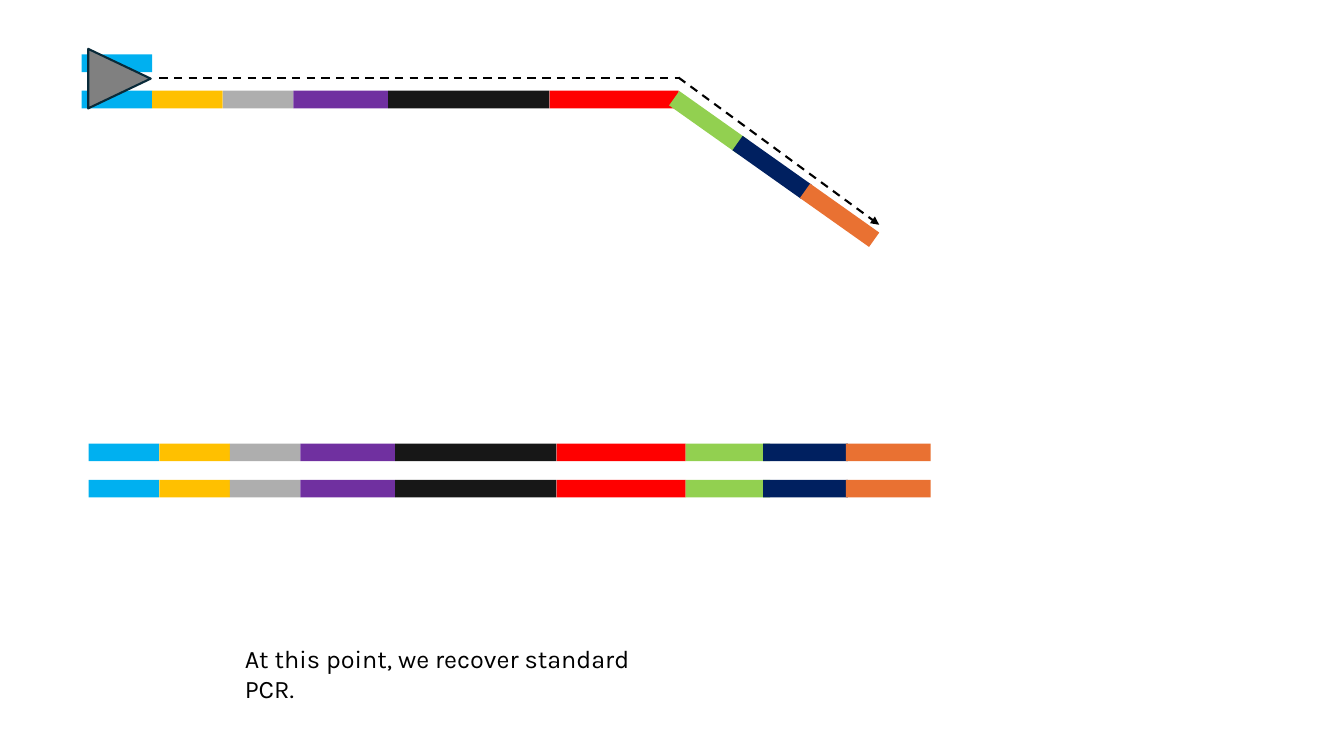
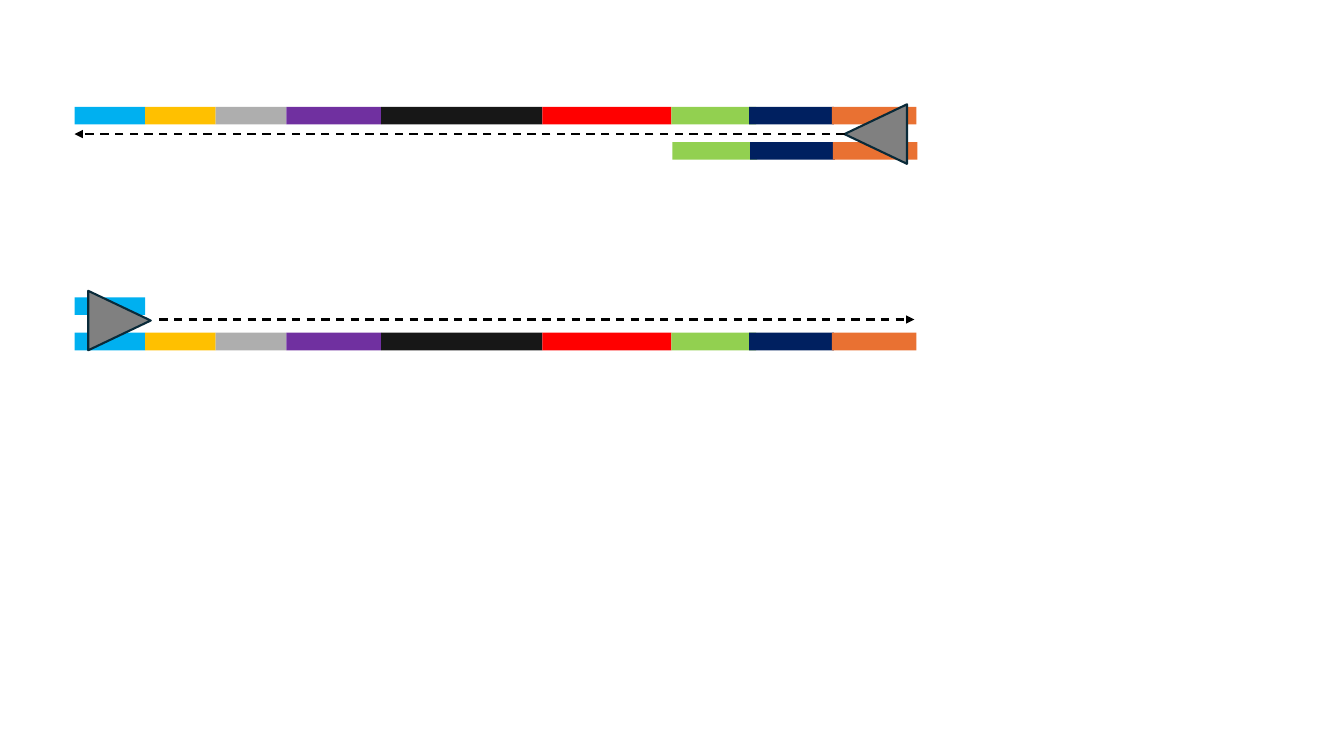
"""Builds two slides that show strand extension during PCR."""
from math import cos, radians, sin

from lxml import etree
from pptx import Presentation
from pptx.dml.color import RGBColor
from pptx.enum.dml import MSO_LINE
from pptx.enum.shapes import MSO_CONNECTOR, MSO_SHAPE
from pptx.oxml.ns import qn
from pptx.util import Inches, Pt

RECT = MSO_SHAPE.RECTANGLE
TRIANGLE = MSO_SHAPE.ISOSCELES_TRIANGLE
STRAIGHT = MSO_CONNECTOR.STRAIGHT
DASH = MSO_LINE.DASH

BLACK = "000000"
GRAY = "808080"
OUTLINE = "092A39"
FONT = "Karla"
LINE_WIDTH = Pt(1.5)
BAR_HEIGHT = 1.75

# Colour, distance to the next segment and drawn width
SEGMENTS = [
    ("00B0F0", 7, 7),
    ("FFC000", 7, 7),
    ("AEAEAE", 7, 7),
    ("7030A0", 9.4, 9.4),
    ("171717", 16, 16),
    ("FF0000", 12.8, 12.8),
    ("92D050", 7.7, 8.4),
    ("002060", 8.2, 8.4),
    ("E97132", 8.4, 8.4),
]
PRIMER = SEGMENTS[:1]
STEM = SEGMENTS[:6]
ARM = SEGMENTS[6:]


def rgb(value):
    return RGBColor.from_string(value)


def grid(cells):
    return Inches(cells / 10)


class Deck:
    def __init__(self):
        self.prs = Presentation()
        self.prs.slide_width = Inches(13.33)
        self.prs.slide_height = Inches(7.5)
        self.slide = None

    def new_slide(self):
        self.slide = self.prs.slides.add_slide(self.prs.slide_layouts[6])

    def shape(self, kind, x, y, w, h, fill, rotation=0, outline=None):
        sp = self.slide.shapes.add_shape(kind, *map(grid, (x, y, w, h)))
        sp.shadow.inherit = False
        sp.rotation = rotation
        sp.fill.solid()
        sp.fill.fore_color.rgb = rgb(fill)
        if outline:
            sp.line.color.rgb = rgb(outline)
            sp.line.width = LINE_WIDTH
        else:
            sp.line.fill.background()

    def strand(self, x, y, segments=SEGMENTS, angle=0):
        dx, dy = cos(radians(angle)), sin(radians(angle))
        for color, step, width in segments:
            self.shape(RECT, x, y, width, BAR_HEIGHT, color, angle)
            x, y = x + step * dx, y + step * dy

    def polymerase(self, x, y, rotation):
        self.shape(TRIANGLE, x, y, 5.9, 6.2, GRAY, rotation, OUTLINE)

    def extension(self, x1, y1, x2, y2, arrow=True):
        cn = self.slide.shapes.add_connector(
            STRAIGHT, *map(grid, (x1, y1, x2, y2)))
        cn.line.color.rgb = rgb(BLACK)
        cn.line.width = LINE_WIDTH
        cn.line.dash_style = DASH
        if arrow:
            ln = cn.line._get_or_add_ln()
            etree.SubElement(ln, qn("a:tailEnd"), type="triangle")
        etree.SubElement(cn._element.spPr, qn("a:effectLst"))

    def text(self, x, y, w, h, content):
        tf = self.slide.shapes.add_textbox(
            *map(grid, (x, y, w, h))).text_frame
        tf.word_wrap = True
        tf.text = content
        r = tf.paragraphs[0].runs[0]
        r.font.name = FONT
        r.font.size = Pt(18)
        r.font.color.rgb = rgb(BLACK)


def build_bent_template(deck):
    deck.new_slide()
    deck.strand(8.1, 5.4, PRIMER)
    deck.strand(8.1, 9, STEM)
    deck.strand(66.1, 11.3, ARM, 35.3)
    deck.polymerase(8.9, 4.7, 90)
    deck.extension(15.8, 7.7, 67.3, 7.7, arrow=False)
    deck.extension(67.3, 7.7, 87.2, 22.3)
    for y in (44, 47.6):
        deck.strand(8.8, y)
    deck.text(23.3, 63.3, 44, 4,
              "At this point, we recover standard PCR.")


def build_standard_pcr(deck):
    deck.new_slide()
    deck.strand(7.4, 10.6)
    deck.strand(66.7, 14.1, ARM)
    deck.strand(7.4, 29.5, PRIMER)
    deck.strand(7.4, 33)
    deck.polymerase(8.9, 28.7, 90)
    deck.extension(15.8, 31.7, 90.7, 31.7)
    deck.polymerase(83.9, 10.2, 270)
    deck.extension(83.8, 13.3, 7.4, 13.3)


def main():
    deck = Deck()
    build_bent_template(deck)
    build_standard_pcr(deck)
    deck.prs.save("out.pptx")


if __name__ == "__main__":
    main()
